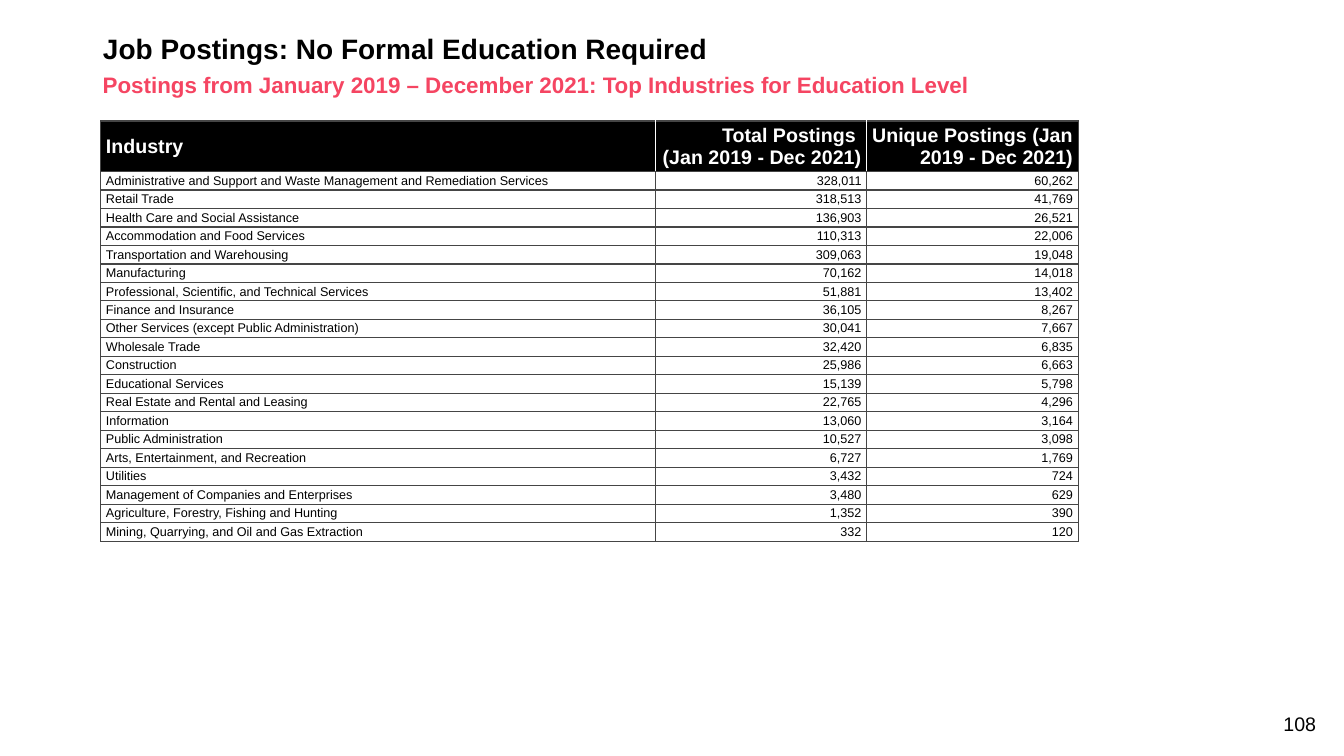
from lxml import etree
from pptx import Presentation
from pptx.dml.color import RGBColor
from pptx.enum import text as t
from pptx.oxml.ns import qn
from pptx.util import Cm, Pt

BLACK = RGBColor(0x00, 0x00, 0x00)
WHITE = RGBColor(0xFF, 0xFF, 0xFF)
PINK = RGBColor(0xF5, 0x45, 0x62)
GREY = RGBColor(0x45, 0x45, 0x45)

HEADER = ("Industry", "Total Postings \n(Jan 2019 - Dec 2021)",
          "Unique Postings (Jan 2019 - Dec 2021)")
INDUSTRIES = [
    ("Administrative and Support and Waste Management and Remediation Services", 328011, 60262),
    ("Retail Trade", 318513, 41769),
    ("Health Care and Social Assistance", 136903, 26521),
    ("Accommodation and Food Services", 110313, 22006),
    ("Transportation and Warehousing", 309063, 19048),
    ("Manufacturing", 70162, 14018),
    ("Professional, Scientific, and Technical Services", 51881, 13402),
    ("Finance and Insurance", 36105, 8267),
    ("Other Services (except Public Administration)", 30041, 7667),
    ("Wholesale Trade", 32420, 6835),
    ("Construction", 25986, 6663),
    ("Educational Services", 15139, 5798),
    ("Real Estate and Rental and Leasing", 22765, 4296),
    ("Information", 13060, 3164),
    ("Public Administration", 10527, 3098),
    ("Arts, Entertainment, and Recreation", 6727, 1769),
    ("Utilities", 3432, 724),
    ("Management of Companies and Enterprises", 3480, 629),
    ("Agriculture, Forestry, Fishing and Hunting", 1352, 390),
    ("Mining, Quarrying, and Oil and Gas Extraction", 332, 120),
]


def format_text(frame, size, color, bold=False, align=t.PP_ALIGN.LEFT, spacing=None):
    for para in frame.paragraphs:
        para.alignment = align
        para.line_spacing = spacing
        for span in para.runs:
            span.font.name = "Arial"
            span.font.size = Pt(size)
            span.font.bold = bold
            span.font.color.rgb = color


def set_borders(cell, colors):
    """Draw 1 pt borders; colors are given as left, right, top, bottom."""
    properties = cell._tc.get_or_add_tcPr()
    for position, (side, color) in enumerate(zip("LRTB", colors)):
        line = etree.Element(qn(f"a:ln{side}"), w=str(Pt(1)))
        fill = etree.SubElement(line, qn("a:solidFill"))
        etree.SubElement(fill, qn("a:srgbClr"), val=str(color))
        properties.insert(position, line)


deck = Presentation()
deck.slide_width, deck.slide_height = Cm(33.87), Cm(19.05)
page = deck.slides.add_slide(deck.slide_layouts[5])

# Headings and page number
title = page.shapes.title
title.left, title.top, title.width, title.height = Cm(2.34), Cm(0.76), Cm(29.21), Cm(1.02)
subtitle = page.shapes.add_textbox(Cm(2.34), Cm(1.8), Cm(29.21), Cm(0.76))
number = page.shapes.add_textbox(Cm(31.39), Cm(17.8), Cm(2.03), Cm(0.86))
title.text_frame.text = "Job Postings: No Formal Education Required"
subtitle.text_frame.text = ("Postings from January 2019 – December 2021: "
                            "Top Industries for Education Level")
number.text_frame.text = "108"
for box in (title, subtitle, number):
    box.text_frame.word_wrap = True
    box.text_frame.auto_size = t.MSO_AUTO_SIZE.NONE
    box.text_frame.vertical_anchor = t.MSO_ANCHOR.MIDDLE
number.text_frame.vertical_anchor = t.MSO_ANCHOR.BOTTOM
format_text(title.text_frame, 20, BLACK, bold=True, spacing=0.9)
format_text(subtitle.text_frame, 16, PINK, bold=True, spacing=0.9)
format_text(number.text_frame, 14, BLACK, align=t.PP_ALIGN.RIGHT)

# Industry table
rows = [HEADER] + [(name, f"{total:,}", f"{unique:,}") for name, total, unique in INDUSTRIES]
widths = (Cm(13.97), Cm(5.33), Cm(5.33))
header_height, body_height = Cm(1.27), Cm(9.32)
table = page.shapes.add_table(len(rows), len(widths), Cm(2.54), Cm(3.05),
                              sum(widths), header_height + body_height).table
for column, width in zip(table.columns, widths):
    column.width = width

for row_index, row in enumerate(rows):
    is_header = row_index == 0
    table.rows[row_index].height = header_height if is_header else body_height // len(INDUSTRIES)
    for column_index, wording in enumerate(row):
        cell = table.cell(row_index, column_index)
        cell.text_frame.text = wording
        cell.vertical_anchor = t.MSO_ANCHOR.MIDDLE
        cell.margin_left = cell.margin_right = Cm(0.13)
        cell.margin_top = cell.margin_bottom = Cm(0.03)
        cell.fill.solid()
        cell.fill.fore_color.rgb = BLACK if is_header else WHITE
        format_text(cell.text_frame, 14 if is_header else 9, WHITE if is_header else BLACK,
                    bold=is_header,
                    align=t.PP_ALIGN.RIGHT if column_index else t.PP_ALIGN.LEFT)
        left = WHITE if is_header and column_index > 0 else GREY
        right = WHITE if is_header and column_index < len(row) - 1 else GREY
        set_borders(cell, (left, right, GREY, GREY))

deck.save("out.pptx")
